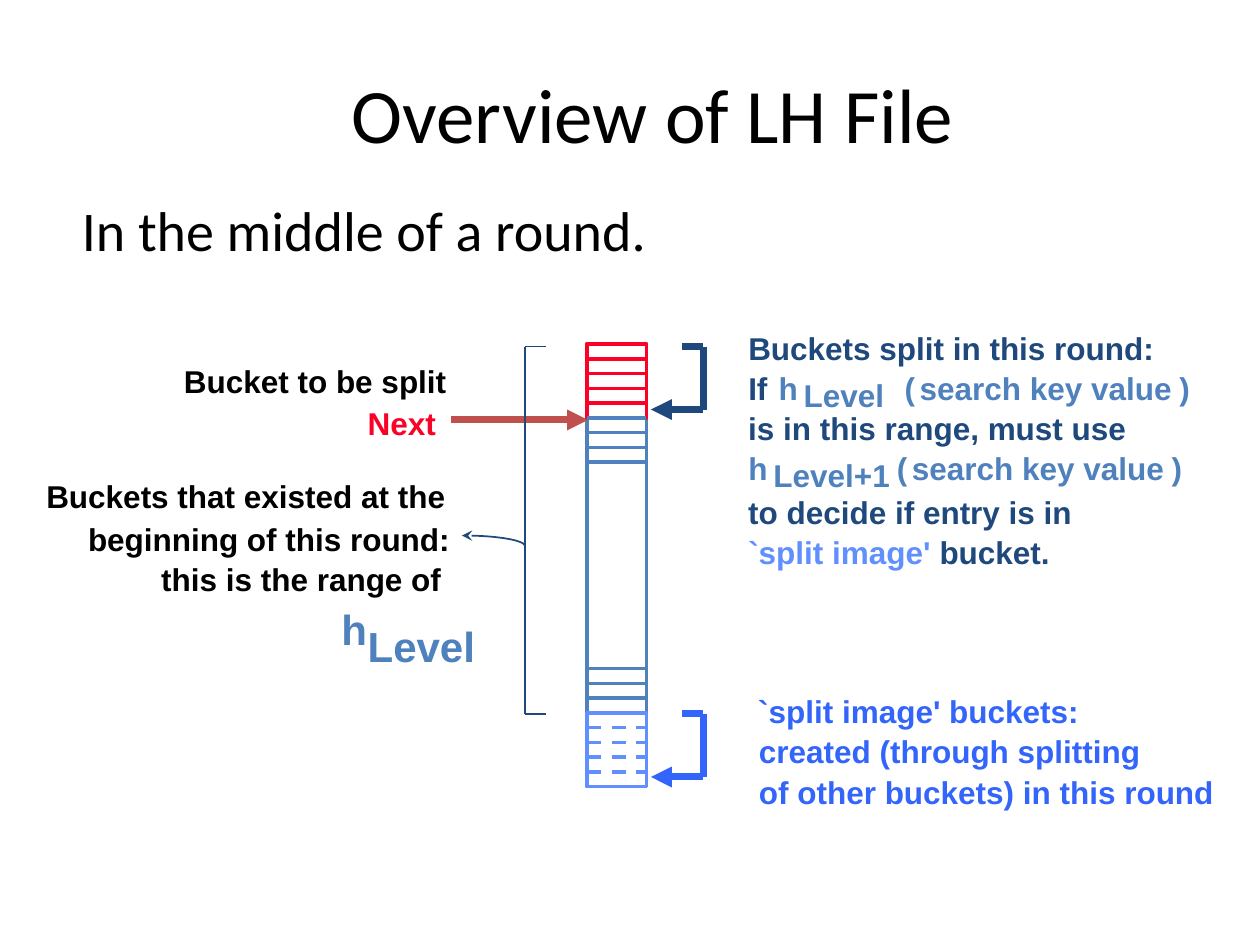
"""Build a slide that explains a linear hashing file in the middle of a round."""
import pptx
import pptx.dml.color
import pptx.enum.dml
import pptx.enum.shapes
import pptx.enum.text
import pptx.oxml.ns
import pptx.util
from lxml import etree

Pt = pptx.util.Pt
qn = pptx.oxml.ns.qn
RGB = pptx.dml.color.RGBColor.from_string
Shape = pptx.enum.shapes.MSO_SHAPE
Dash = pptx.enum.dml.MSO_LINE
AutoSize = pptx.enum.text.MSO_AUTO_SIZE
COLORS = {
    "black": "000000", "red": "FC0128", "steel": "4F81BD", "navy": "1F497D",
    "royal": "3365FB", "sky": "618FFD", "brick": "C0504D",
}


def write(text, box, size=18, color="black", font="Arial", bold=True):
    span = box.text_frame.paragraphs[0].add_run()
    span.text = text
    span.font.size = Pt(size)
    span.font.name = font
    span.font.bold = bold
    span.font.color.rgb = RGB(COLORS[color])


def draw_line(parent, start, end, color, width, head=None, dash=None):
    line = parent.add_connector(
        pptx.enum.shapes.MSO_CONNECTOR.STRAIGHT, *map(Pt, start + end))
    line.line.color.rgb = RGB(COLORS[color])
    line.line.width = Pt(width)
    if dash:
        line.line.dash_style = dash
    if head:
        etree.SubElement(line.line._get_or_add_ln(), qn("a:headEnd"), type=head)
    etree.SubElement(line._element.spPr, qn("a:effectLst"))


deck = pptx.Presentation()
deck.slide_width, deck.slide_height = Pt(720), Pt(540)
page = deck.slides.add_slide(deck.slide_layouts[1])
shapes = page.shapes

title, body = page.placeholders
for box, text, size, bounds in (
    (title, "Overview of LH File ", 44, (72, 21, 612, 87)),
    (body, "In the middle of a round.", 32, (39.6, 108, 660, 48)),
):
    box.left, box.top, box.width, box.height = map(Pt, bounds)
    box.text_frame.auto_size = AutoSize.NONE
    write(text, box, size=size, font="Calibri", bold=False)
para = body.text_frame.paragraphs[0]
para.space_before = Pt(8)
para_format = para._p.get_or_add_pPr()
para_format.set("marL", "0")
para_format.set("indent", "0")
etree.SubElement(para_format, qn("a:buNone"))

labels = [
    (203, 351, 75.6, 24, [("Level", "steel")]),
    (188, 341.3, 35.3, 24, [("h", "steel")]),
    (19.4, 268.8, 242.6, 18, [("Buckets that existed at the", "black")]),
    (43.2, 293.8, 226, 18, [("beginning of this round:", "black")]),
    (85, 316.2, 174.2, 18, [("this is the range of", "black")]),
    (203, 227.5, 53.3, 18, [("Next", "red")]),
    (98, 203.6, 169.2, 18, [("Bucket to be split", "black")]),
    (420.5, 184.3, 246.2, 18, [("Buckets split in this round:", "navy")]),
    (420.5, 207.4, 30.2, 18, [("If", "navy")]),
    (437.8, 207.4, 30.2, 18, [("h", "steel")]),
    (452.2, 211.5, 60.5, 18, [("Level", "steel")]),
    (420.5, 230, 230.4, 18, [("is in this range, must use", "navy")]),
    (420.5, 253, 30.2, 18, [("h", "steel")]),
    (434.9, 257.2, 82, 18, [("Level+1", "steel")]),
    (420.5, 278.2, 204.5, 18, [("to decide if entry is in", "navy")]),
    (420.5, 301, 186.5, 18, [("`split image' ", "sky"), ("bucket.", "navy")]),
    (426.2, 391.7, 200, 18, [("`split image' buckets:", "royal")]),
    (426.6, 414.7, 232.6, 18, [("created (through splitting", "royal")]),
    (426.6, 438, 274.3, 18, [("of other buckets) in this round", "royal")]),
]
for left, top in ((509.8, 207.4), (505.4, 253)):
    for text, offset, width in (
            ("(", 0, 20.2), ("search key value", 8.6, 163.4), (")", 157, 20.2)):
        labels.append((left + offset, top, width, 18, [(text, "steel")]))

for left, top, width, size, spans in labels:
    box = shapes.add_textbox(Pt(left), Pt(top), Pt(width), Pt(size * 1.2 + 7.2))
    box.text_frame.word_wrap = False
    box.text_frame.auto_size = AutoSize.SHAPE_TO_FIT_TEXT
    for text, color in spans:
        write(text, box, size=size, color=color)

file_left, file_right, file_top, bucket = 335.5, 369.4, 196.6, 8.43
for first, count, color, dividers, dash in (
    (0, 30, "steel", (22, 23, 24, 25), None),
    (25, 5, "sky", (26, 27, 28, 29), Dash.DASH),
    (0, 5, "red", (1, 2, 3, 4), None),
    (5, 0, "steel", (5, 6, 7, 8), None),
):
    if count:
        part = shapes.add_shape(
            Shape.RECTANGLE, Pt(file_left), Pt(file_top + first * bucket),
            Pt(file_right - file_left), Pt(count * bucket))
        part.shadow.inherit = False
        part.fill.background()
        part.line.color.rgb = RGB(COLORS[color])
        part.line.width = Pt(2)
    for index in dividers:
        level = file_top + index * bucket
        draw_line(shapes, (file_left, level), (file_right, level), color, 2, dash=dash)

for top, color in ((198, "navy"), (408, "royal")):
    hook = shapes.add_group_shape().shapes
    draw_line(hook, (390, top), (402, top), color, 4)
    draw_line(hook, (402, top), (402, top + 36), color, 4)
    draw_line(hook, (372, top + 36), (402, top + 36), color, 4, head="triangle")

draw_line(shapes, (336, 240), (258, 240), "brick", 4, head="triangle")

for start, end in (
        ((312, 198), (300, 198)), ((300, 198), (300, 408)), ((312, 408), (300, 408))):
    draw_line(shapes, start, end, "navy", 1)

range_arc = shapes.add_shape(Shape.ARC, Pt(228), Pt(306), Pt(72), Pt(12))
range_arc.shadow.inherit = False
range_arc.fill.background()
range_arc.line.color.rgb = RGB(COLORS["navy"])
range_arc.line.width = Pt(1)
etree.SubElement(range_arc.line._get_or_add_ln(), qn("a:headEnd"), type="stealth")

deck.save("out.pptx")
